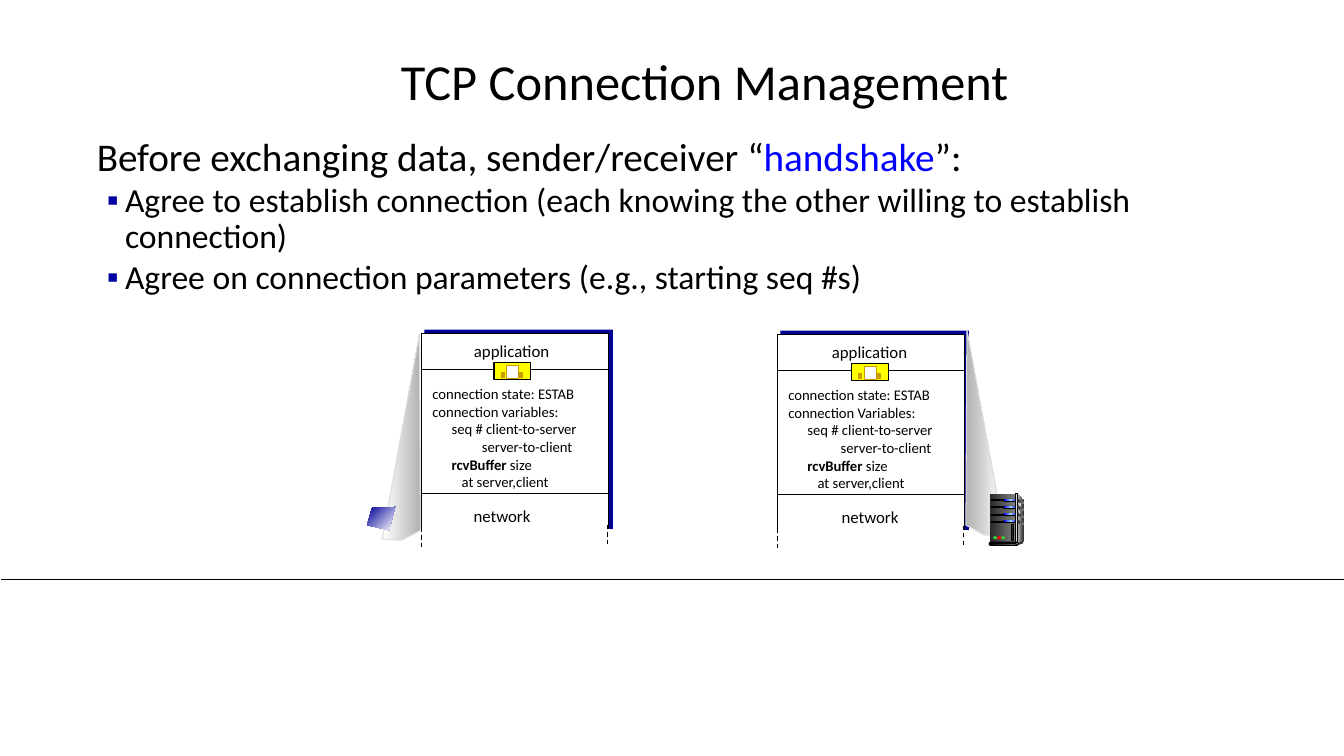
from lxml import etree
from pptx import Presentation
from pptx.dml.color import RGBColor
from pptx.enum.dml import MSO_LINE
from pptx.enum.shapes import MSO_CONNECTOR, MSO_SHAPE
from pptx.enum.text import MSO_ANCHOR, MSO_AUTO_SIZE, PP_ALIGN
from pptx.oxml.ns import qn
from pptx.util import Inches, Pt

RECT, PILL, OVAL = MSO_SHAPE.RECTANGLE, MSO_SHAPE.ROUNDED_RECTANGLE, MSO_SHAPE.OVAL
BLACK, WHITE, NAVY, GOLD = "000000", "FFFFFF", "000099", "CC9900"
DARK_METAL = ("292929", "808080")
SHINY_BLUE = ("0000FF", "99CCFF", "0000FF")


def color(value):
    return RGBColor.from_string(value)


def paint(shape, fill, line=None, angle=0):
    """Fill with one colour, or with a gradient when given a tuple of evenly spaced stops."""
    shape.shadow.inherit = False
    if isinstance(fill, tuple):
        shape.fill.gradient()
        stops = shape._element.spPr.find(".//" + qn("a:gsLst"))
        for stop in list(stops):
            stops.remove(stop)
        for index, value in enumerate(fill):
            position = 100000 * index // (len(fill) - 1)
            stop = etree.SubElement(stops, qn("a:gs"), pos=str(position))
            etree.SubElement(stop, qn("a:srgbClr"), val=value)
        shape.fill.gradient_angle = -angle % 360
    else:
        shape.fill.solid()
        shape.fill.fore_color.rgb = color(fill)
    if line:
        shape.line.color.rgb = color(line)
        shape.line.width = Pt(0.75)
    else:
        shape.line.fill.background()


def add_block(shapes, box, fill, line=None, kind=RECT):
    block = shapes.add_shape(kind, *map(Inches, box))
    if kind == PILL:
        block.adjustments[0] = 0.5
    paint(block, fill, line)


def add_outline(shapes, left, top, points, fill, line=None, angle=0):
    """Draw a closed polygon whose points are offsets from left and top."""
    corners = [(Inches(left + x), Inches(top + y)) for x, y in points]
    builder = shapes.build_freeform(*corners[0], scale=1.0)
    builder.add_line_segments(corners[1:], close=True)
    paint(builder.convert_to_shape(), fill, line, angle)


def add_line(shapes, start, end, width=0.75, dashed=False):
    line = shapes.add_connector(MSO_CONNECTOR.STRAIGHT, *map(Inches, start + end))
    line.line.color.rgb = color(BLACK)
    line.line.width = Pt(width)
    if dashed:
        line.line.dash_style = MSO_LINE.DASH
    etree.SubElement(line._element.spPr, qn("a:effectLst"))


def add_span(para, text, size, fill=BLACK, bold=False):
    span = para.add_run()
    span.text = text
    span.font.name = "Calibri"
    span.font.size = Pt(size)
    span.font.bold = bold
    span.font.color.rgb = color(fill)


def next_para(frame, index, indent=0.0, hanging=0.0):
    para = frame.paragraphs[0] if index == 0 else frame.add_paragraph()
    properties = para._p.get_or_add_pPr()
    properties.set("marL", str(Inches(indent)))
    properties.set("indent", str(-Inches(hanging)))
    return para


def place(holder, box):
    holder.left, holder.top, holder.width, holder.height = map(Inches, box)
    holder.text_frame.auto_size = MSO_AUTO_SIZE.NONE
    holder.text_frame.word_wrap = True
    return holder.text_frame


def write_title(holder, box):
    frame = place(holder, box)
    frame.vertical_anchor = MSO_ANCHOR.MIDDLE
    para = frame.paragraphs[0]
    para.alignment = PP_ALIGN.CENTER
    para.line_spacing = 0.9
    add_span(para, "TCP Connection Management", 36)


def write_body(holder, box):
    frame = place(holder, box)
    frame.vertical_anchor = MSO_ANCHOR.TOP
    frame.margin_left = frame.margin_right = Inches(0.07)
    frame.margin_top = frame.margin_bottom = Inches(0.04)
    lead = next_para(frame, 0, indent=0.01)
    etree.SubElement(lead._p.pPr, qn("a:buNone"))
    lead.line_spacing = 0.9
    lead.space_before = Pt(0)
    add_span(lead, "Before exchanging data, sender/receiver “", 28)
    add_span(lead, "handshake", 28, fill="0000FF")
    add_span(lead, "”:", 28)
    points = ["Agree to establish connection (each knowing the other willing to establish connection)",
              "Agree on connection parameters (e.g., starting seq #s)"]
    for index, text in enumerate(points, 1):
        para = next_para(frame, index, indent=0.29, hanging=0.18)
        bullet_color = etree.SubElement(para._p.pPr, qn("a:buClr"))
        etree.SubElement(bullet_color, qn("a:srgbClr"), val="0000A3")
        etree.SubElement(para._p.pPr, qn("a:buChar"), char="▪")
        para.line_spacing = 0.9
        para.space_before = Pt(3)
        add_span(para, text, 24)


def add_label(shapes, box, text):
    frame = shapes.add_textbox(*map(Inches, box)).text_frame
    frame.word_wrap = False
    frame.paragraphs[0].alignment = PP_ALIGN.CENTER
    add_span(frame.paragraphs[0], text, 12)


def add_socket(shapes, left, top):
    socket = shapes.add_group_shape().shapes
    add_block(socket, (left, top, 0.36, 0.17), "FFFF00", BLACK)
    add_block(socket, (left + 0.12, top + 0.03, 0.12, 0.13), WHITE, GOLD)
    for offset in (0.07, 0.25):
        add_block(socket, (left + offset, top + 0.1, 0.03, 0.05), GOLD, GOLD)


def add_state(shapes, box, variables, reply_indent):
    frame = shapes.add_textbox(*map(Inches, box)).text_frame
    frame.word_wrap = True
    rows = [(0, "", "connection state: ESTAB"), (0, "", variables),
            (0.19, "", "seq # client-to-server"), (reply_indent, "", "server-to-client"),
            (0.19, "rcvBuffer", " size"), (0.29, "", "at server,client")]
    for index, (indent, strong, text) in enumerate(rows):
        para = next_para(frame, index, indent=indent)
        if strong:
            add_span(para, strong, 10.5, bold=True)
        add_span(para, text, 10.5)


def add_stack(shapes, box, variables, reply_indent, socket_left, network_left):
    """Draw one host's protocol layers, open at the bottom."""
    left, top, width, height = box
    right = left + width
    add_block(shapes, (left + 0.03, top - 0.04, 1.87, 1.98), NAVY)
    add_block(shapes, box, WHITE, BLACK)
    add_line(shapes, (left, top + 0.36), (right, top + 0.36))
    add_state(shapes, (left + 0.01, top + 0.46, 1.92, 1.34), variables, reply_indent)
    add_socket(shapes, left + socket_left, top + 0.29)
    add_label(shapes, (left + socket_left - 0.34, top + 0.02, 1.03, 0.3), "application")
    add_line(shapes, (left, top + 1.59), (right, top + 1.59))
    add_label(shapes, (left + network_left, top + 1.66, 0.8, 0.3), "network")
    add_block(shapes, (left - 0.03, top + 1.94, 1.92, 0.15), WHITE)
    for x, y in ((left, top + 1.93), (right - 0.01, top + 1.9)):
        add_line(shapes, (x, y), (x, y + 0.2), dashed=True)


def add_server(shapes, left, top):
    server = shapes.add_group_shape().shapes
    add_outline(server, left, top, [(0.28, 0), (0.34, 0.06), (0.34, 0.47), (0.27, 0.49)],
                ("DDDDDD", "333333"))
    add_block(server, (left + 0.01, top, 0.25, 0.49), DARK_METAL)
    add_outline(server, left, top, [(0.28, 0.03), (0.32, 0.07), (0.29, 0.3), (0.28, 0.48)],
                ("808080", "F8F8F8"))
    bays = [top + 0.05 + 0.07 * row for row in range(4)]
    for bay in bays:
        add_block(server, (left + 0.02, bay + 0.01, 0.14, 0.01), BLACK, BLACK)
        add_block(server, (left + 0.14, bay, 0.14, 0.03), BLACK, kind=PILL)
        add_block(server, (left + 0.15, bay, 0.13, 0.02), SHINY_BLUE, kind=PILL)
    add_block(server, (left + 0.26, top, 0.02, 0.49), ("333333", "DDDDDD", "333333"), BLACK)
    for bay in bays:
        add_outline(server, left + 0.28, bay, [(0, 0), (0.06, 0.03), (0.06, 0.05), (0, 0.02)],
                    DARK_METAL)
    add_outline(server, left, top, [(0.28, 0.49), (0.28, 0.51), (0.34, 0.49), (0.33, 0.47)],
                "333333")
    add_block(server, (left, top + 0.48, 0.29, 0.03), "DDDDDD", BLACK, PILL)
    add_block(server, (left + 0.01, top + 0.49, 0.26, 0.02), (BLACK, "808080"), BLACK, PILL)
    for index, light in enumerate(("33CC33", "FF0000", "33CC33")):
        add_block(server, (left + 0.04 + 0.04 * index, top + 0.42, 0.04, 0.03), light, kind=OVAL)
    add_block(server, (left + 0.22, top + 0.3, 0.02, 0.16), "292929", BLACK)


def main():
    deck = Presentation()
    deck.slide_width, deck.slide_height = Inches(13.33), Inches(7.5)
    page = deck.slides.add_slide(deck.slide_layouts[1])
    shapes = page.shapes
    add_line(shapes, (0.01, 5.75), (13.33, 5.75), width=0.5)
    write_title(shapes.title, (2.32, 0.47, 9.34, 0.73))
    write_body(page.placeholders[1], (0.88, 1.32, 11.93, 1.79))

    beam = [(0, 2.03), (0.37, 0), (0.38, 1.94), (0.19, 2.04)]
    add_stack(shapes, (4.18, 3.31, 1.86, 2.03), "connection variables:", 0.49, 0.72, 0.4)
    add_outline(shapes, 3.79, 3.32, beam, (WHITE, "B2B2B2"), "DDDDDD")
    add_stack(shapes, (7.71, 3.32, 1.86, 2.03), "connection Variables:", 0.52, 0.74, 0.52)
    mirrored = [(0.38 - x, y) for x, y in beam]
    add_outline(shapes, 9.58, 3.27, mirrored, ("B2B2B2", WHITE), "DDDDDD")
    add_outline(shapes, 3.64, 5.03, [(0.28, 0), (0.05, 0.01), (0, 0.18), (0.22, 0.23)],
                (NAVY, WHITE), angle=45)
    add_server(shapes, 9.81, 4.9)
    deck.save("out.pptx")


if __name__ == "__main__":
    main()
